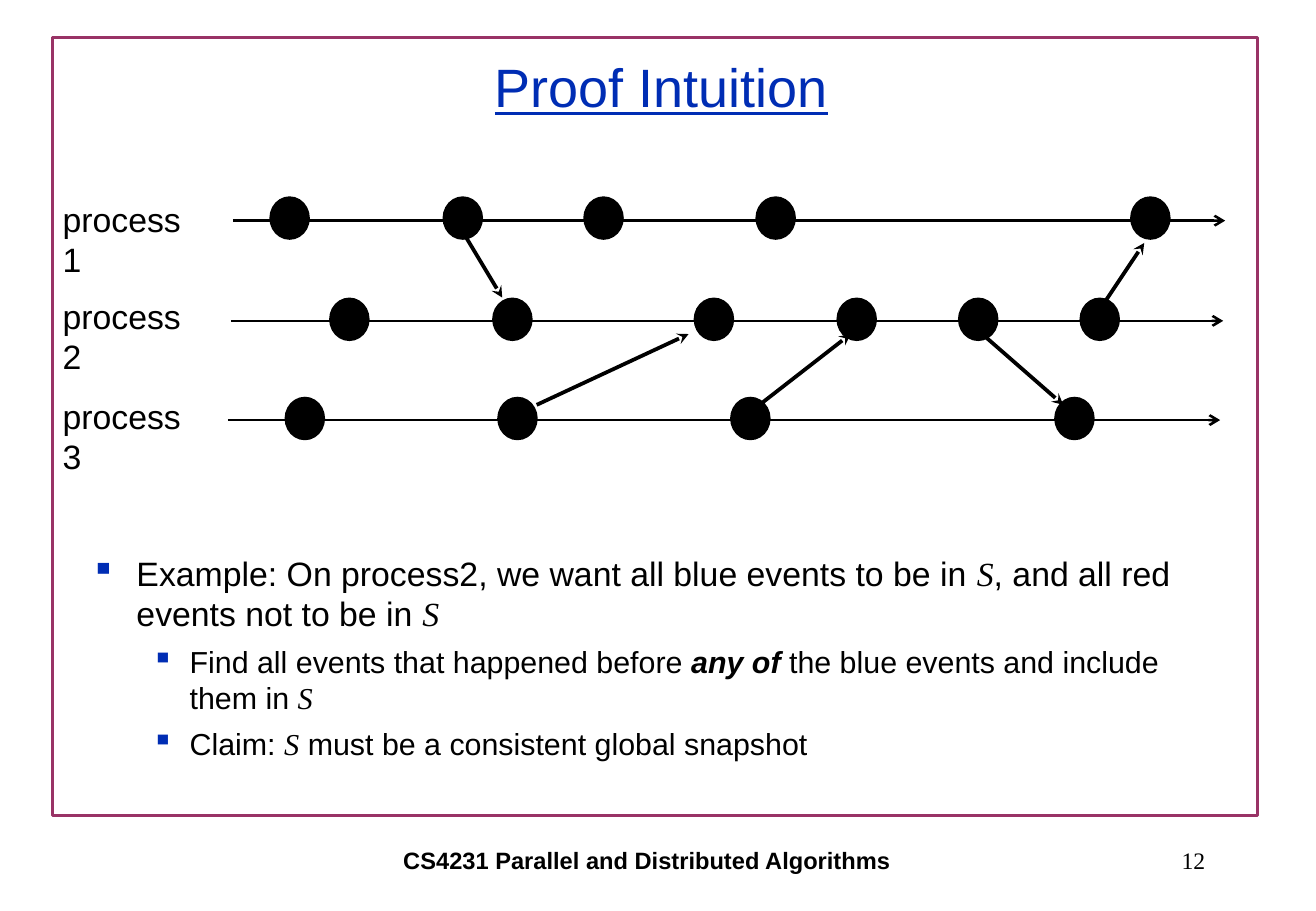
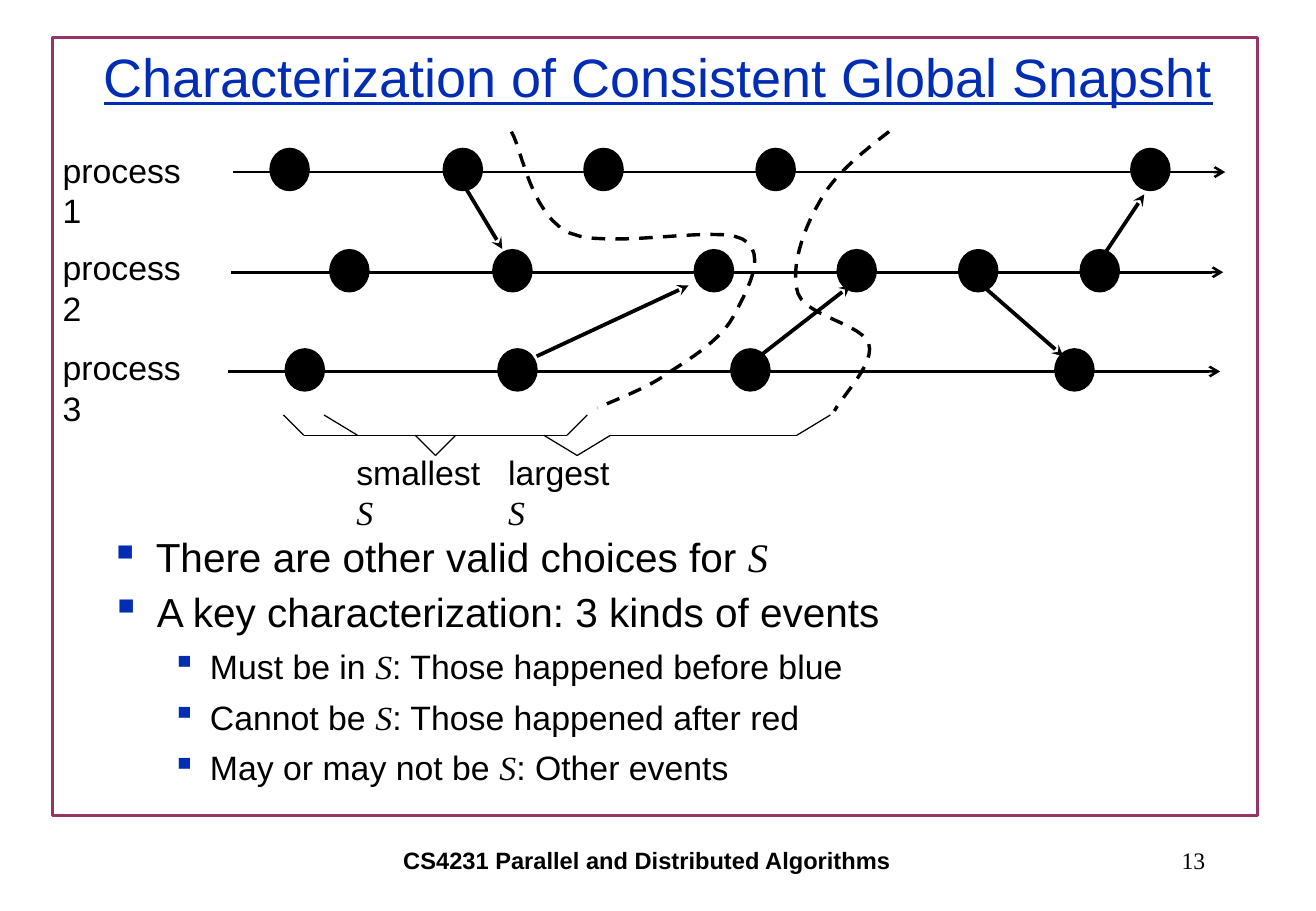
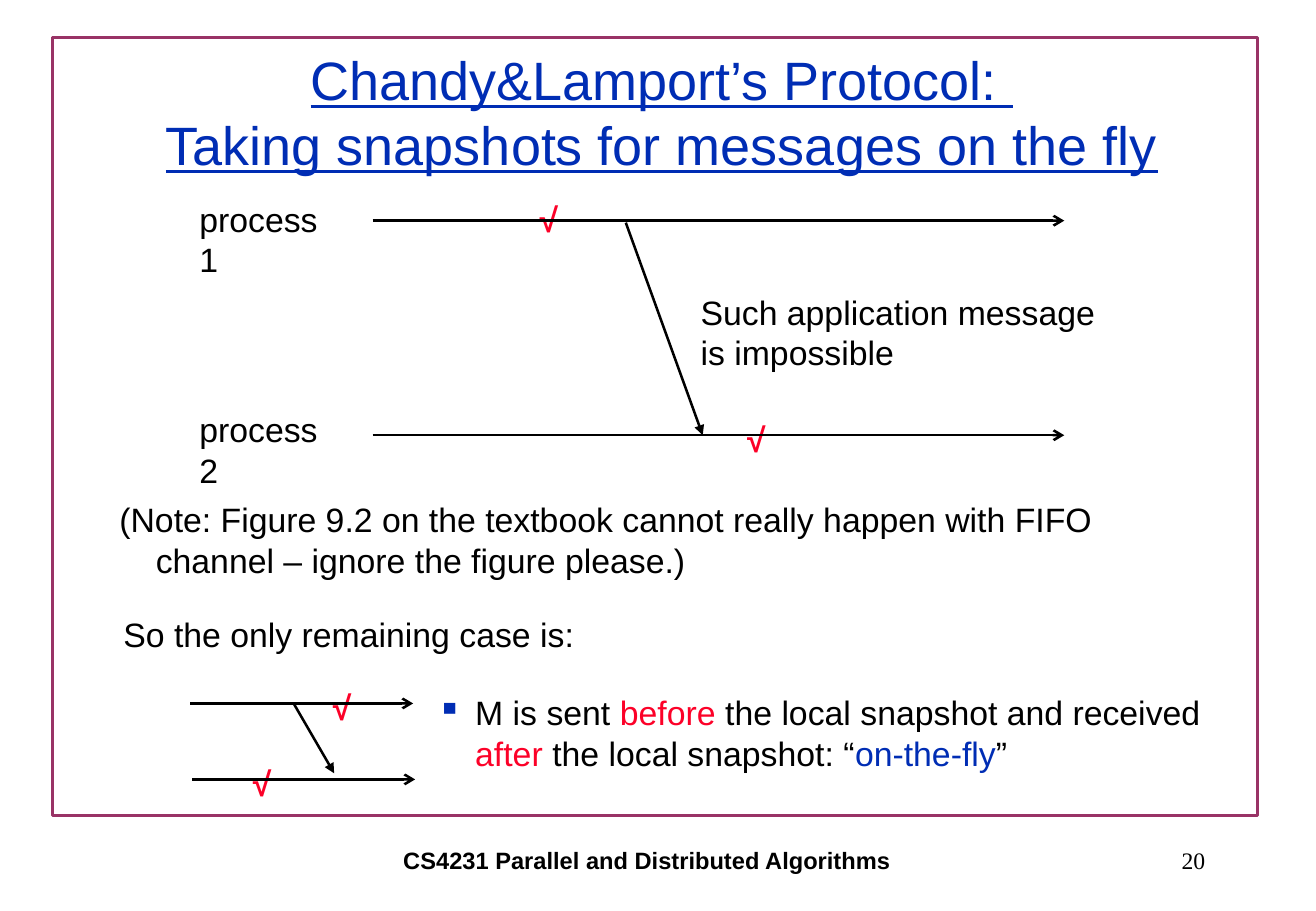
import itertools

import pptx
import pptx.dml.color
import pptx.enum.dml
import pptx.enum.shapes
import pptx.enum.text
import pptx.oxml
import pptx.oxml.ns
import pptx.util

COLORS = {"black": "000000", "blue": "002DB4", "red": "FC0128", "frame": "993366"}
STYLES = {
    "plain": {},
    "math": {"name": "Times New Roman", "italic": True},
    "strong": {"bold": True, "italic": True},
    "bold": {"bold": True},
    "number": {"name": "Times New Roman"},
    "title": {"underline": True, "color": "blue"},
    "red": {"color": "red"},
    "blue": {"color": "blue"},
    "tick": {"bold": True, "color": "red"},
}
INDENTS = {"none": (0, 0), "hang": (4.5, -3.6), "first": (4.5, -4.5), "second": (9.75, -3.75)}
BULLETED = ("first", "second")
ALIGN = pptx.enum.text.PP_ALIGN
ANCHOR = pptx.enum.text.MSO_ANCHOR
SHAPE = pptx.enum.shapes.MSO_SHAPE
STRAIGHT = pptx.enum.shapes.MSO_CONNECTOR.STRAIGHT

presentation = pptx.Presentation()
presentation.slide_width = pptx.util.Inches(10.83)
presentation.slide_height = pptx.util.Inches(7.5)
GRID = presentation.slide_height / 90


def add_text(slide, place, paragraphs, align=ALIGN.LEFT, anchor=ANCHOR.TOP):
    frame = slide.shapes.add_textbox(*[int(value * GRID) for value in place]).text_frame
    frame.word_wrap = True
    frame.vertical_anchor = anchor
    for index, (indent, size, runs) in enumerate(paragraphs):
        paragraph = frame.add_paragraph() if index else frame.paragraphs[0]
        paragraph.alignment = align
        paragraph.space_before = pptx.util.Pt(0.3 * size if index else 0)
        properties = paragraph._p.get_or_add_pPr()
        for name, value in zip(("marL", "indent"), INDENTS[indent]):
            properties.set(name, str(int(value * GRID)))
        if indent in BULLETED:
            namespace = pptx.oxml.ns.nsdecls("a")
            for markup in (
                f'<a:buClr {namespace}><a:srgbClr val="{COLORS["blue"]}"/></a:buClr>',
                f'<a:buChar {namespace} char="▪"/>',
            ):
                properties.append(pptx.oxml.parse_xml(markup))
        for text, style in runs:
            for line_index, line in enumerate(text.split("\n")):
                if line_index:
                    paragraph.add_line_break()
                run = paragraph.add_run()
                run.text = line
                values = {"name": "Arial", "size": pptx.util.Pt(size), "color": "black"} | STYLES[style]
                color = values.pop("color")
                for name, value in values.items():
                    setattr(run.font, name, value)
                run.font.color.rgb = pptx.dml.color.RGBColor.from_string(COLORS[color])


def add_line(slide, start, end, width, head=None):
    ends = [int(value * GRID) for value in (*start, *end)]
    connector = slide.shapes.add_connector(STRAIGHT, *ends)
    connector.line.width = pptx.util.Pt(width)
    connector.line.color.rgb = pptx.dml.color.RGBColor.from_string(COLORS["black"])
    namespace = pptx.oxml.ns.nsdecls("a")
    if head:
        tail = pptx.oxml.parse_xml(f'<a:tailEnd {namespace} type="{head}"/>')
        connector.line._get_or_add_ln().append(tail)
    connector._element.spPr.append(pptx.oxml.parse_xml(f"<a:effectLst {namespace}/>"))


slides = []
for title, title_place, number in (
    ("Proof Intuition", (10.1, 3, 110.5, 11), "12"),
    ("Characterization of Consistent Global Snapsht", (6, 2, 118, 11), "13"),
    ("Chandy&Lamport’s Protocol: \nTaking snapshots for messages on the fly", (10.1, 5.5, 110.5, 11), "20"),
):
    slide = presentation.slides.add_slide(presentation.slide_layouts[6])
    slides.append(slide)
    border = slide.shapes.add_shape(
        SHAPE.RECTANGLE, *[int(value * GRID) for value in (5.2, 3.7, 119, 76.9)]
    )
    border.shadow.inherit = False
    border.fill.background()
    border.line.width = pptx.util.Pt(2)
    border.line.color.rgb = pptx.dml.color.RGBColor.from_string(COLORS["frame"])
    for place, text, size, style, align in (
        (title_place, title, 32, "title", ALIGN.CENTER),
        ((18.4, 82, 91, 6), "CS4231 Parallel and Distributed Algorithms", 14, "bold", ALIGN.CENTER),
        ((93.1, 82, 27.1, 6), number, 14, "number", ALIGN.RIGHT),
    ):
        add_text(slide, place, [("none", size, [(text, style)])], align, ANCHOR.MIDDLE)

intuition, characterization, protocol = slides

processes = (
    ("process1", 19, 23, 21.8, 19.4, (26.6, 43.7, 57.6, 74.6, 111.6)),
    ("process2", 28.6, 22.8, 31.7, 29.4, (32.5, 48.6, 68.5, 82.6, 94.6, 106.6)),
    ("process3", 38.5, 22.5, 41.5, 39.2, (28.1, 49.1, 72.1, 104.1)),
)
messages = (
    ((109, 30), (113, 24)),
    ((97, 33), (105, 40)),
    ((53, 40), (68, 33)),
    ((46, 23.4), (49.6, 29.4)),
    ((75, 40), (84, 33)),
)
for slide, rise in ((intuition, 0), (characterization, 4.8)):
    for (left, top), (right, bottom) in messages:
        add_line(slide, (left, top - rise), (right, bottom - rise), 2.25, "stealth")
    for label, label_row, line_left, line_row, event_row, event_columns in processes:
        add_text(slide, (5, label_row - rise, 15, 5.2), [("none", 20, [(label, "plain")])])
        add_line(slide, (line_left, line_row - rise), (line_left + 98, line_row - rise), 1.5, "arrow")
        for column in event_columns:
            place = (column, event_row - rise, 4, 4.3)
            event = slide.shapes.add_shape(SHAPE.OVAL, *[int(value * GRID) for value in place])
            event.shadow.inherit = False
            event.fill.solid()
            event.fill.fore_color.rgb = pptx.dml.color.RGBColor.from_string(COLORS["black"])
            event.line.fill.background()

add_text(intuition, (7.8, 54, 114.2, 20), [
    ("first", 20, [
        ("Example: On process2, we want all blue events to be in ", "plain"), ("S", "math"),
        (", and all red events not to be in ", "plain"), ("S", "math"),
    ]),
    ("second", 18, [
        ("Find all events that happened before ", "plain"), ("any of", "strong"),
        (" the blue events and include them in ", "plain"), ("S", "math"),
    ]),
    ("second", 18, [
        ("Claim: ", "plain"), ("S", "math"), (" must be a consistent global snapshot", "plain"),
    ]),
])

cuts = (
    ((50.5, 13), (51.5, 14.6), (52.4, 21.2), (56.2, 23), (60, 24.7), (70.7, 22.2), (73.3, 23.6),
     (76, 25), (73.6, 29), (72.4, 31.3), (71.2, 33.5), (68.4, 35.3), (66.2, 36.7),
     (64.1, 38.3), (60.5, 39.6), (59, 40.3)),
    ((87.8, 13), (85.1, 15.1), (82.3, 17.3), (80.9, 20), (79.3, 22.7), (78, 26.6), (78.8, 29),
     (79.7, 31.3), (85.2, 32), (85.8, 34), (86.4, 35.9), (83.2, 39.1), (82.4, 40.6)),
)
STEPS = 12
for cut in cuts:
    points = []
    for first in range(0, len(cut) - 1, 3):
        for step in range(1, STEPS + 1):
            t = step / STEPS
            weights = ((1 - t) ** 3, 3 * t * (1 - t) ** 2, 3 * t ** 2 * (1 - t), t ** 3)
            controls = zip(*cut[first:first + 4])
            points.append([
                int(GRID * sum(weight * value for weight, value in zip(weights, axis)))
                for axis in controls
            ])
    builder = characterization.shapes.build_freeform(*[int(value * GRID) for value in cut[0]])
    builder.add_line_segments(points, close=False)
    curve = builder.convert_to_shape()
    curve.shadow.inherit = False
    curve.fill.background()
    curve.line.width = pptx.util.Pt(2)
    curve.line.dash_style = pptx.enum.dml.MSO_LINE.DASH
    curve.line.color.rgb = pptx.dml.color.RGBColor.from_string(COLORS["black"])

for word, label_left, label_width, left, right, corner in (
    ("smallest ", 34, 16, 28, 58, 2),
    ("largest ", 49, 13.5, 32, 82, 3.3),
):
    middle = (left + right) / 2
    brace_columns = (left, left + corner, middle - corner, middle, middle + corner, right - corner, right)
    brace_rows = (41, 43, 43, 45, 43, 43, 41)
    for start, end in itertools.pairwise(zip(brace_columns, brace_rows)):
        add_line(characterization, start, end, 0.75)
    add_text(characterization, (label_left, 44, label_width, 9), [
        ("none", 20, [(word, "plain"), ("S", "math")]),
    ])

add_text(characterization, (9.7, 52, 110.5, 7), [
    ("first", 24, [("There are other valid choices for ", "plain"), ("S", "math")]),
])
kinds = (
    ("Must be in ", ": Those happened before blue"),
    ("Cannot be ", ": Those happened after red"),
    ("May or may not be ", ": Other events"),
)
add_text(characterization, (9.8, 57.4, 110.5, 23), [
    ("first", 24, [("A key characterization: 3 kinds of events", "plain")]),
    *[("second", 20, [(before, "plain"), ("S", "math"), (after, "plain")]) for before, after in kinds],
])

for place in ((52.1, 19), (72.6, 40.8), (31.7, 67.3), (23.8, 74.8)):
    add_text(protocol, (*place, 5.2, 5.2), [("none", 20, [("√", "tick")])])
for start, end, head in (
    ((36.8, 21.8), (105.1, 21.8), "arrow"),
    ((36.8, 43), (105.1, 43), "arrow"),
    ((61.8, 22), (69.4, 43), "triangle"),
    ((18.8, 69.5), (40.8, 69.5), "arrow"),
    ((19, 77), (41, 77), "arrow"),
    ((29, 69.5), (33, 76.4), "triangle"),
):
    add_line(protocol, start, end, 1.5, head)
for place, indent, text in (
    ((18.5, 19, 15, 5.2), "none", "process1"),
    ((18.5, 39.8, 15, 5.2), "none", "process2"),
    ((68, 28.2, 41.4, 9.2), "none", "Such application message is impossible"),
    ((9.7, 48.7, 110.5, 10.3), "hang",
     "(Note: Figure 9.2 on the textbook cannot really happen with FIFO channel – ignore the figure please.)"),
    ((11, 60, 50, 5.3), "none", "So the only remaining case is:"),
):
    add_text(protocol, place, [(indent, 20, [(text, "plain")])])
add_text(protocol, (36, 67.8, 84, 11), [
    ("second", 20, [
        ("M is sent ", "plain"), ("before", "red"), (" the local snapshot and received ", "plain"),
        ("after", "red"), (" the local snapshot: “", "plain"), ("on-the-fly", "blue"), ("”", "plain"),
    ]),
])

presentation.save("out.pptx")
